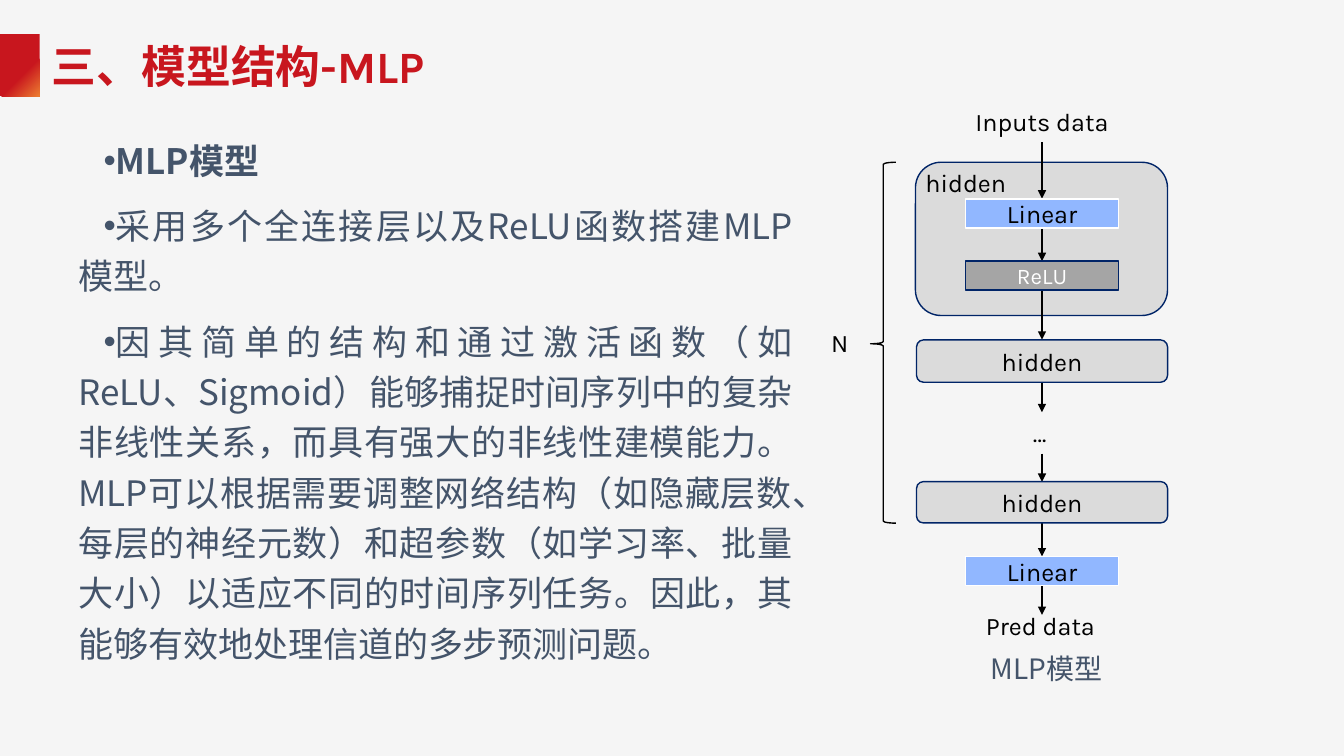
import pptx
import pptx.util
import pptx.dml.color
import pptx.enum.shapes
import pptx.enum.text
import pptx.oxml.ns
import lxml.etree

Pt = pptx.util.Pt
RGBColor = pptx.dml.color.RGBColor
Kind = pptx.enum.shapes.MSO_SHAPE
Align = pptx.enum.text.PP_ALIGN
Anchor = pptx.enum.text.MSO_ANCHOR
qn = pptx.oxml.ns.qn

RED = RGBColor(0xC8, 0x16, 0x1E)
ORANGE = RGBColor(0xED, 0x7D, 0x31)
SLATE = RGBColor(0x44, 0x54, 0x6A)
NAVY = RGBColor(0x00, 0x24, 0x67)
BLUE = RGBColor(0x91, 0xB7, 0xFF)
SILVER = RGBColor(0xDB, 0xDB, 0xDB)
GREY = RGBColor(0xA5, 0xA5, 0xA5)
PALE = RGBColor(0xF5, 0xF5, 0xF5)
BLACK = RGBColor(0, 0, 0)
WHITE = RGBColor(0xFF, 0xFF, 0xFF)
LATIN, HAN = "Karla", "Noto Sans CJK SC"

deck = pptx.Presentation()
deck.slide_width = pptx.util.Inches(13.33)
deck.slide_height = pptx.util.Inches(7.5)
col = deck.slide_width / 1333
row = deck.slide_height / 750
slide = deck.slides.add_slide(deck.slide_layouts[6])
slide.background.fill.solid()
slide.background.fill.fore_color.rgb = PALE
shapes = slide.shapes


def write(para, text, **style):
    run = para.add_run()
    run.text = text
    look = {"name": LATIN, "size": Pt(18), "bold": False, "color": BLACK} | style
    run.font.color.rgb = look.pop("color")
    for key, value in look.items():
        setattr(run.font, key, value)
    east = lxml.etree.SubElement(run._r.get_or_add_rPr(), qn("a:ea"))
    east.set("typeface", HAN)


def place(kind, x, y, w, h, fill=None, line=None):
    spot = [round(v) for v in (x * col, y * row, w * col, h * row)]
    if kind is None:
        item = shapes.add_textbox(*spot)
        item.text_frame.word_wrap = True
        return item
    item = shapes.add_shape(kind, *spot)
    item.shadow.inherit = False
    if fill is None:
        item.fill.background()
    else:
        item.fill.solid()
        item.fill.fore_color.rgb = fill
    if line is None:
        item.line.fill.background()
    else:
        item.line.color.rgb = line
        item.line.width = Pt(1)
    return item


flag = place(Kind.RECTANGLE, 0, 34, 39.4, 61.5)
flag.fill.gradient()
flag.fill.gradient_angle = 315
for stop, spot, tint in zip(flag.fill.gradient_stops, (0.62, 1), (RED, ORANGE)):
    stop.position = spot
    stop.color.rgb = tint

title = place(None, 41.5, 29, 978, 72).text_frame
title.vertical_anchor = Anchor.MIDDLE
write(title.paragraphs[0], "三、模型结构-MLP", size=Pt(32), bold=True, color=RED)

points = [
    "MLP模型",
    "采用多个全连接层以及ReLU函数搭建MLP模型。",
    "因其简单的结构和通过激活函数（如ReLU、Sigmoid）能够捕捉时间序列中的复杂非线性关系，"
    "而具有强大的非线性建模能力。MLP可以根据需要调整网络结构（如隐藏层数、每层的神经元数）"
    "和超参数（如学习率、批量大小）以适应不同的时间序列任务。因此，其能够有效地处理信道的多步预测问题。",
]
layout = {"alignment": Align.JUSTIFY, "line_spacing": 1.2, "space_before": Pt(10.6)}
body = place(None, 42, 125, 754, 546).text_frame
for rank, point in enumerate(points):
    para = body.add_paragraph() if rank else body.paragraphs[0]
    for key, value in layout.items():
        setattr(para, key, value)
    props = para._p.get_or_add_pPr()
    props.set("marL", str(round(26 * col)))
    props.set("indent", str(round(25 * col)))
    lxml.etree.SubElement(props, qn("a:buFont")).set("typeface", "Arial")
    lxml.etree.SubElement(props, qn("a:buChar")).set("char", "•")
    write(para, point, name=HAN, size=Pt(25), bold=rank == 0, color=SLATE)

place(Kind.ROUNDED_RECTANGLE, 908, 161, 250, 152, SILVER, NAVY)
brace = place(Kind.LEFT_BRACE, 863.5, 161, 25, 358, None, BLACK)
brace.adjustments[0] = 0.083
brace.adjustments[1] = 0.503

axis = 1033.5
for top, end in [(141, 197), (227, 259), (288, 337), (379, 409),
                 (450, 478), (519, 552), (581, 610)]:
    x = round(axis * col)
    arrow = shapes.add_connector(pptx.enum.shapes.MSO_CONNECTOR.STRAIGHT,
                                 x, round(top * row), x, round(end * row))
    arrow.line.color.rgb = BLACK
    arrow.line.width = Pt(1)
    props = arrow._element.spPr
    tip = lxml.etree.SubElement(props.find(qn("a:ln")), qn("a:tailEnd"))
    tip.set("type", "triangle")
    lxml.etree.SubElement(props, qn("a:effectLst"))

layers = [
    ("Linear", Kind.RECTANGLE, 197.4, 152, 29, BLUE, WHITE, 18, BLACK),
    ("ReLU", Kind.RECTANGLE, 258.8, 152, 29, GREY, NAVY, 16, WHITE),
    ("hidden", Kind.ROUNDED_RECTANGLE, 337.2, 249, 42, SILVER, NAVY, 18, BLACK),
    ("hidden", Kind.ROUNDED_RECTANGLE, 477.8, 249, 41, SILVER, NAVY, 18, BLACK),
    ("Linear", Kind.RECTANGLE, 552, 152, 29, BLUE, WHITE, 18, BLACK),
]
for text, kind, y, w, h, fill, line, size, ink in layers:
    frame = place(kind, axis - w / 2, y, w, h, fill, line).text_frame
    frame.vertical_anchor = Anchor.MIDDLE
    frame.paragraphs[0].alignment = Align.CENTER
    write(frame.paragraphs[0], text, size=Pt(size), color=ink)

labels = [
    ("Inputs data", 957.5, 101, 152, 40, True, {}),
    ("hidden", 908, 161, 138, 71, True, {}),
    ("…", 1014.5, 409, 38, 40, False, {}),
    ("N", 814.5, 320, 39, 40, False, {}),
    ("Pred data", 968, 601, 130, 40, True, {}),
    ("MLP模型", 973, 641, 204, 44, True,
     {"name": HAN, "size": Pt(20), "color": SLATE}),
]
for text, x, y, w, h, wrap, style in labels:
    frame = place(None, x, y, w, h).text_frame
    frame.word_wrap = wrap
    write(frame.paragraphs[0], text, **style)

deck.save("out.pptx")
